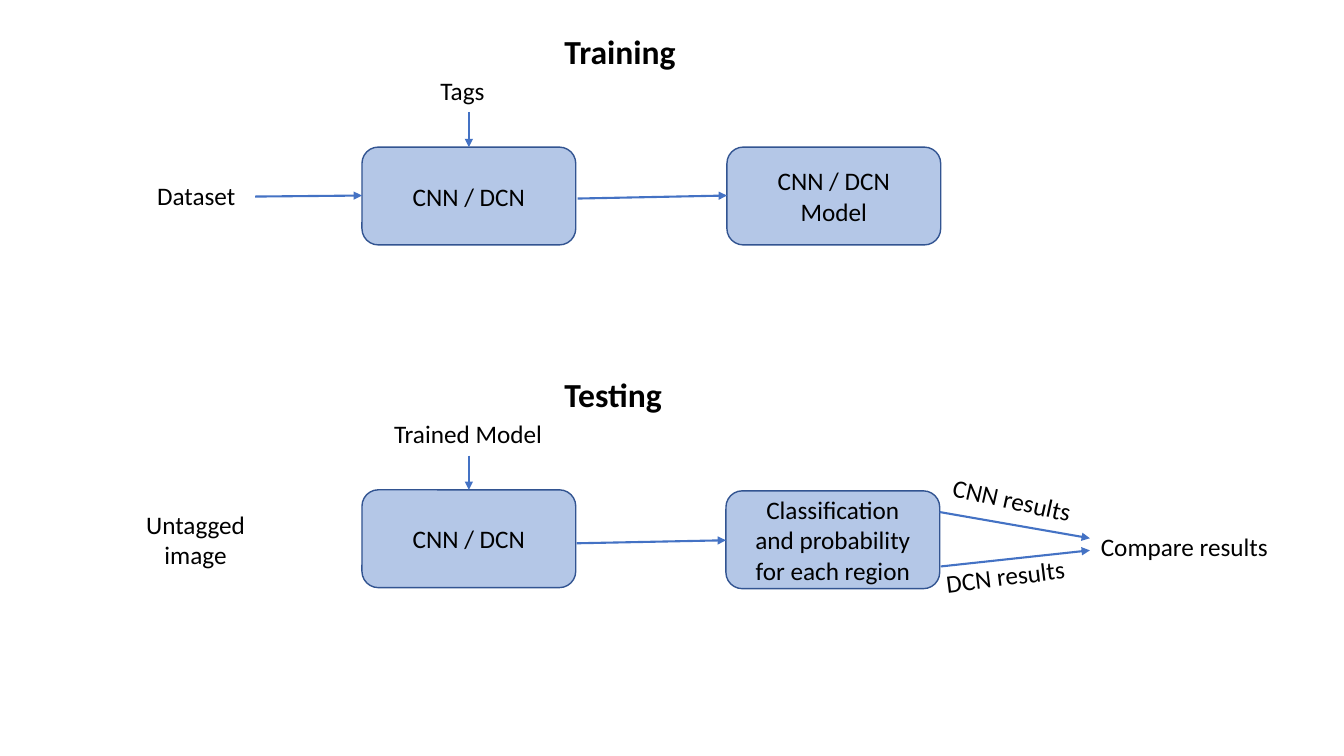
from dataclasses import dataclass

from lxml import etree
from pptx import Presentation
from pptx.dml.color import RGBColor
from pptx.enum.shapes import MSO_CONNECTOR, MSO_SHAPE
from pptx.enum.text import MSO_ANCHOR, PP_ALIGN
from pptx.oxml.ns import qn
from pptx.slide import Slide
from pptx.text.text import TextFrame
from pptx.util import Inches, Pt

ROUNDED = MSO_SHAPE.ROUNDED_RECTANGLE
STRAIGHT = MSO_CONNECTOR.STRAIGHT
LEFT, CENTER = PP_ALIGN.LEFT, PP_ALIGN.CENTER
MIDDLE, TOP = MSO_ANCHOR.MIDDLE, MSO_ANCHOR.TOP

FONT = "Calibri"
TEXT_COLOR = "000000"
BOX_FILL = "B4C7E7"
BOX_LINE = "325491"
ARROW_COLOR = "4472C4"
BOX_WIDTH, BOX_HEIGHT = 2.12, 0.97


@dataclass(frozen=True)
class Box:
    text: str
    left: float
    top: float


@dataclass(frozen=True)
class Label:
    text: str
    left: float
    top: float
    width: float = 1.9
    height: float = 0.4
    size: int = 18
    bold: bool = False
    align: PP_ALIGN = LEFT
    rotation: float = 0


@dataclass(frozen=True)
class Arrow:
    start: tuple[float, float]
    end: tuple[float, float]


# Training stage, then testing stage
BOXES = [
    Box("CNN / DCN", 3.59, 1.46),
    Box("CNN / DCN\nModel", 7.21, 1.46),
    Box("CNN / DCN", 3.59, 4.86),
    Box("Classification\nand probability for each region", 7.2, 4.87),
]
LABELS = [
    Label("Training", 5.5, 0.26, height=0.5, size=24, bold=True),
    Label("Tags", 4.27, 0.7, width=0.76),
    Label("Dataset", 1.46, 1.74, width=1.07),
    Label("Testing", 5.5, 3.66, height=0.5, size=24, bold=True),
    Label("Trained Model", 3.81, 4.1),
    Label("Untagged image", 1.22, 5, width=1.44, height=0.71, align=CENTER),
    Label("Compare results", 10.82, 5.22),
    Label("CNN results", 9.34, 4.81, rotation=12.5),
    Label("DCN results", 9.28, 5.48, rotation=352.9),
]
ARROWS = [
    Arrow((2.53, 1.95), (3.59, 1.94)),
    Arrow((5.73, 1.97), (7.21, 1.94)),
    Arrow((4.65, 1.11), (4.65, 1.46)),
    Arrow((5.72, 5.39), (7.2, 5.36)),
    Arrow((4.65, 4.52), (4.65, 4.86)),
    Arrow((9.32, 5.08), (10.81, 5.34)),
    Arrow((9.33, 5.62), (10.81, 5.46)),
]


def color(hex_value: str) -> RGBColor:
    return RGBColor.from_string(hex_value)


def write_text(frame: TextFrame, text: str, size: int, bold: bool,
               align: PP_ALIGN, anchor: MSO_ANCHOR) -> None:
    frame.word_wrap = True
    frame.vertical_anchor = anchor
    paragraph = frame.paragraphs[0]
    paragraph.alignment = align
    for index, line in enumerate(text.split("\n")):
        if index:
            paragraph.add_line_break()
        run = paragraph.add_run()
        run.text = line
        run.font.name = FONT
        run.font.size = Pt(size)
        run.font.bold = bold
        run.font.color.rgb = color(TEXT_COLOR)


def draw_box(slide: Slide, box: Box) -> None:
    shape = slide.shapes.add_shape(ROUNDED, Inches(box.left), Inches(box.top),
                                   Inches(BOX_WIDTH), Inches(BOX_HEIGHT))
    shape.shadow.inherit = False
    shape.fill.solid()
    shape.fill.fore_color.rgb = color(BOX_FILL)
    shape.line.color.rgb = color(BOX_LINE)
    shape.line.width = Pt(1)
    write_text(shape.text_frame, box.text, 18, False, CENTER, MIDDLE)


def draw_label(slide: Slide, label: Label) -> None:
    shape = slide.shapes.add_textbox(Inches(label.left), Inches(label.top),
                                     Inches(label.width), Inches(label.height))
    shape.rotation = label.rotation
    write_text(shape.text_frame, label.text, label.size, label.bold,
               label.align, TOP)


def draw_arrow(slide: Slide, arrow: Arrow) -> None:
    start_x, start_y = map(Inches, arrow.start)
    end_x, end_y = map(Inches, arrow.end)
    connector = slide.shapes.add_connector(STRAIGHT, start_x, start_y, end_x, end_y)
    connector.line.color.rgb = color(ARROW_COLOR)
    connector.line.width = Pt(1.5)
    # Arrowhead at the end, and no shadow
    line = connector.line._get_or_add_ln()
    etree.SubElement(line, qn("a:tailEnd"), type="triangle")
    etree.SubElement(connector._element.spPr, qn("a:effectLst"))


def main() -> None:
    presentation = Presentation()
    presentation.slide_width = Inches(13.33)
    presentation.slide_height = Inches(7.5)
    blank_layout = presentation.slide_layouts.get_by_name("Blank")
    slide = presentation.slides.add_slide(blank_layout)

    for box in BOXES:
        draw_box(slide, box)
    for arrow in ARROWS:
        draw_arrow(slide, arrow)
    for label in LABELS:
        draw_label(slide, label)

    presentation.save("out.pptx")


if __name__ == "__main__":
    main()
